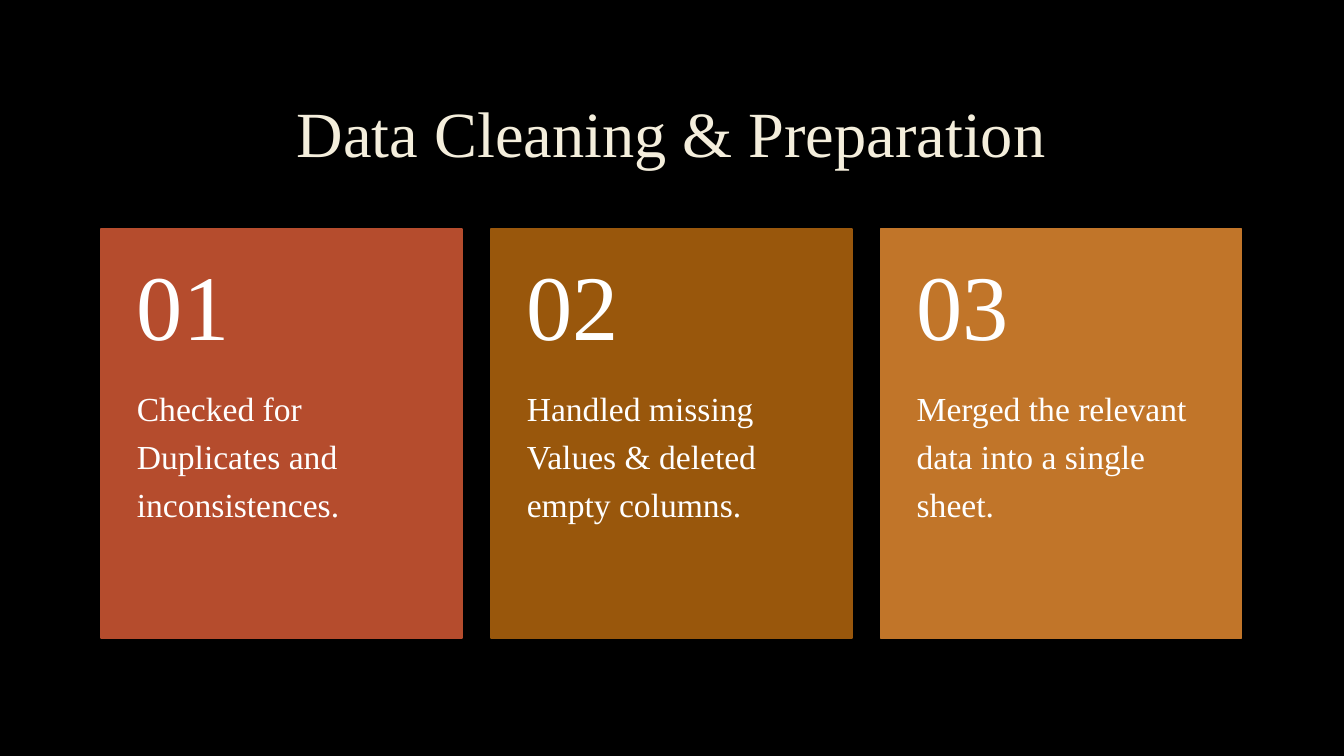
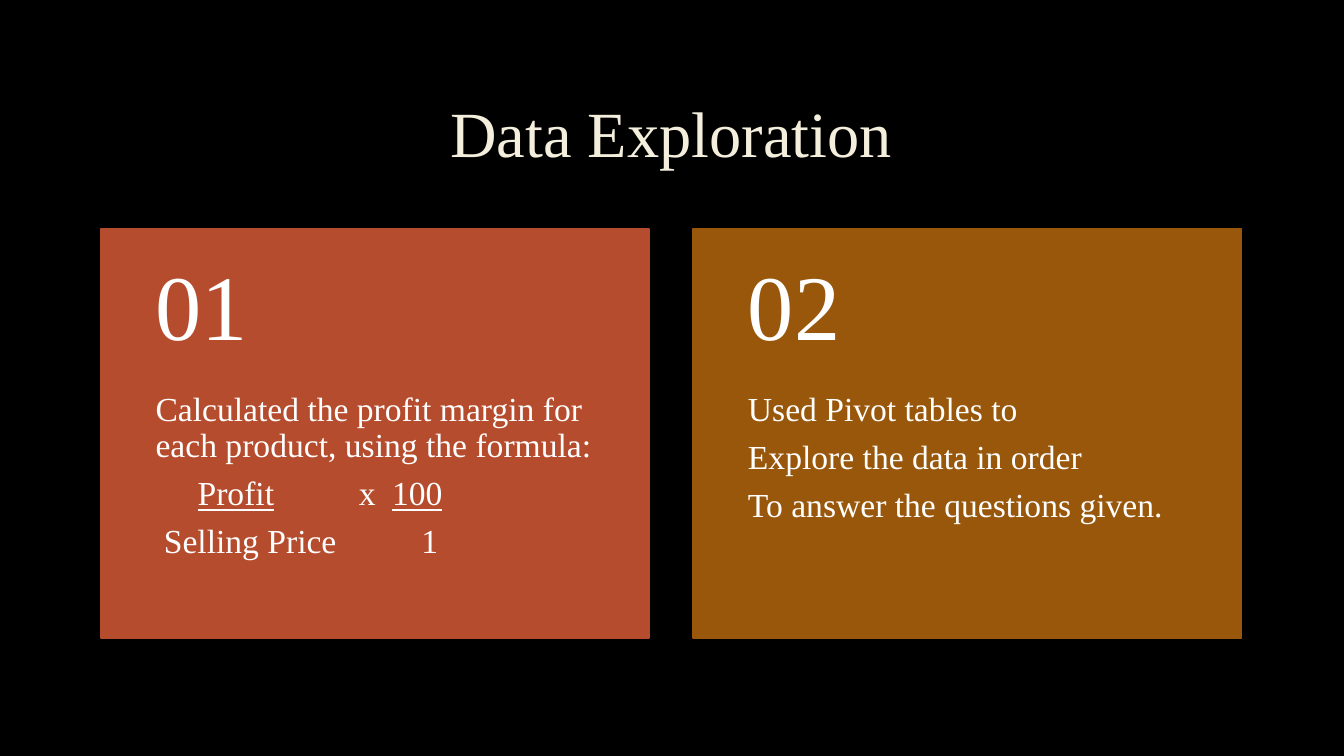
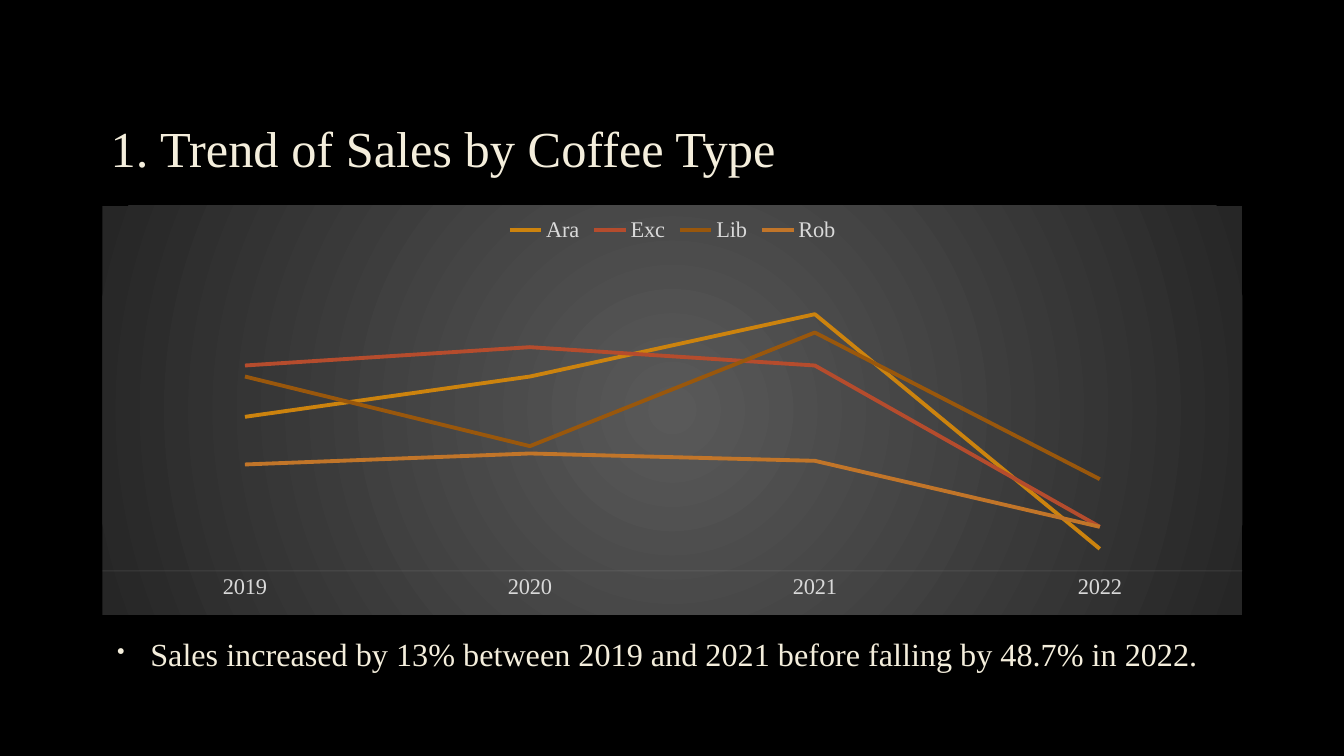
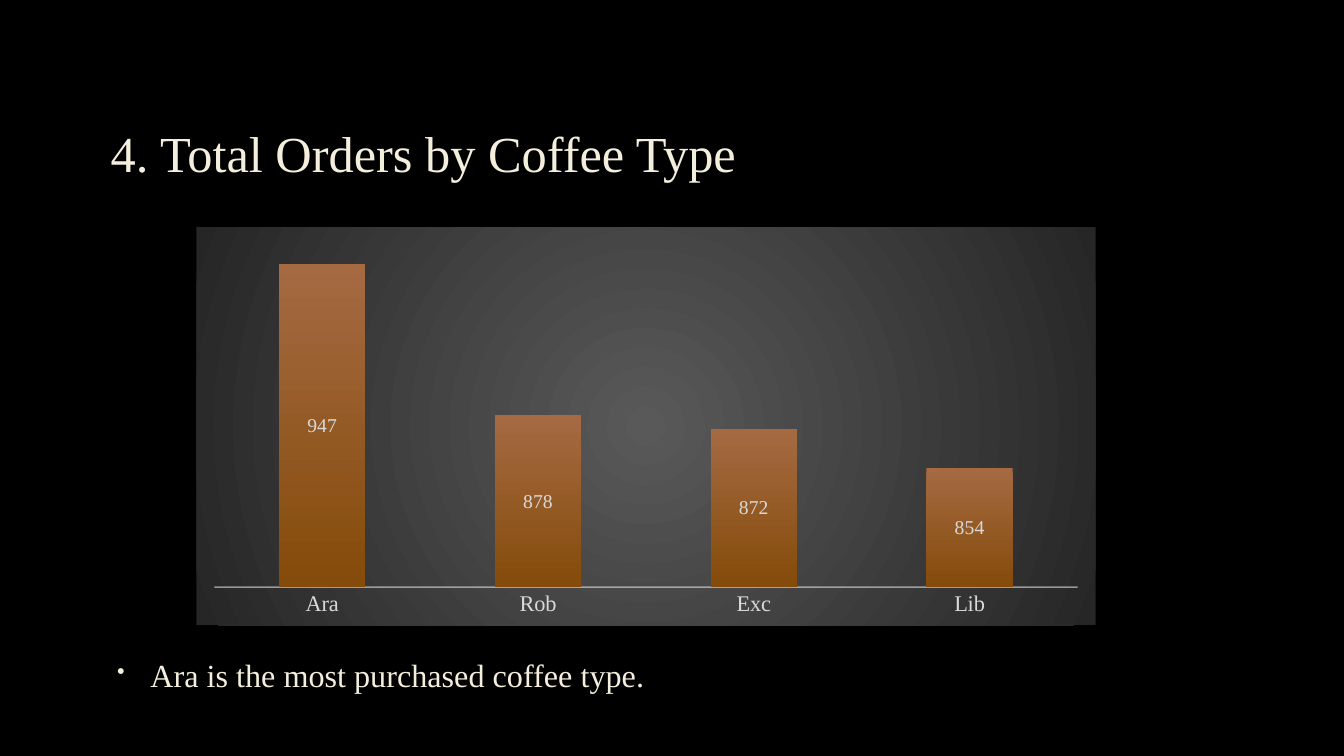
from collections import namedtuple
from dataclasses import dataclass

from lxml.etree import SubElement
from pptx import Presentation
from pptx.chart.data import CategoryChartData
from pptx.dml.color import RGBColor
from pptx.enum.chart import XL_CHART_TYPE, XL_LABEL_POSITION, XL_LEGEND_POSITION, XL_TICK_MARK
from pptx.enum.shapes import MSO_SHAPE
from pptx.enum.text import MSO_ANCHOR, PP_ALIGN
from pptx.oxml import parse_xml
from pptx.oxml.ns import nsdecls, qn
from pptx.util import Cm, Pt

Box = namedtuple("Box", "x y w h")


@dataclass(frozen=True)
class Theme:
    font: str = "Times New Roman"
    back: str = "000000"
    cream: str = "F4EEDC"
    white: str = "FFFFFF"
    label: str = "D9D9D9"
    axis: str = "F2F2F2"
    gold: str = "CC830E"
    cards: tuple = ("B54C2D", "99570C", "C17529")
    glow: tuple = ("595959", "262626")
    bars: tuple = ("A56A42", "844B0A")
    title: int = 46
    head: int = 36
    digit: int = 66
    body: int = 24
    note: int = 23
    tick: int = 16
    value: int = 14


THEME = Theme()
LEFT, WIDE = 2.54, 28.75
TITLE = Box(LEFT, 1.7, WIDE, 3.5)
DECK = Box(LEFT, 5.77, WIDE, 10.31)
PAD = 0.1


def rgb(code):
    return RGBColor.from_string(code)


def style(font, size, color):
    font.name = THEME.font
    font.size = Pt(size)
    font.color.rgb = rgb(color)


def place(box):
    return [Cm(side) for side in box]


def add_text(slide, box, lines, size, color, inset=(0.25, 0.13, 0.25, 0.13),
             anchor=MSO_ANCHOR.TOP, align=PP_ALIGN.LEFT, space=0.9, after=0):
    frame = slide.shapes.add_textbox(*place(box)).text_frame
    frame.word_wrap = True
    frame.vertical_anchor = anchor
    (frame.margin_left, frame.margin_top,
     frame.margin_right, frame.margin_bottom) = [Cm(side) for side in inset]
    frame.text = "\n".join(lines)
    for para in frame.paragraphs:
        para.alignment = align
        para.line_spacing = space
        para.space_after = Pt(after)
        for run in para.runs:
            style(run.font, size, color)
    return frame


def add_title(slide, box, text, size, align=PP_ALIGN.LEFT):
    add_text(slide, box, [text], size, THEME.cream, anchor=MSO_ANCHOR.MIDDLE, align=align)


def set_tabs(para, stops):
    tabs = SubElement(para._p.get_or_add_pPr(), qn("a:tabLst"))
    for stop in stops:
        SubElement(tabs, qn("a:tab"), pos=str(Cm(stop)), algn="l")


def add_ratio(frame):
    top, base = frame.add_paragraph(), frame.add_paragraph()
    parts = (
        (top, (("\tProfit\t", True), ("\tx\t", False), ("100", True)), (1.06, 4.5, 5.12, 5.96)),
        (base, (("\tSelling Price\t1", False),), (0.21, 6.7)),
    )
    for para, runs, stops in parts:
        para.line_spacing = 0.9
        para.space_after = frame.paragraphs[0].space_after
        set_tabs(para, stops)
        for text, under in runs:
            run = para.add_run()
            run.text = text
            style(run.font, THEME.body, THEME.white)
            run.font.underline = under


def add_card(slide, box, color, digit, lines):
    card = slide.shapes.add_shape(MSO_SHAPE.RECTANGLE, *place(box))
    card.shadow.inherit = False
    card.fill.solid()
    card.fill.fore_color.rgb = rgb(color)
    card.line.color.rgb = rgb(color)
    card.line.width = Pt(1.25)
    side = PAD * box.w
    split = 0.4 * box.h
    frame = add_text(slide, Box(box.x, box.y + split, box.w, box.h - split), lines,
                     THEME.body, THEME.white, (side, 0, side, 0.9), after=8.4)
    add_text(slide, Box(box.x, box.y, box.w, split), [digit], THEME.digit, THEME.white,
             (side, 0.46, side, 0.46), MSO_ANCHOR.MIDDLE)
    return frame


def card_slide(slide, title, cards):
    add_title(slide, TITLE, title, THEME.title, PP_ALIGN.CENTER)
    count, gap = len(cards), 0.08
    width = DECK.w / (count + gap * (count - 1))
    return [
        add_card(slide, Box(DECK.x + i * width * (1 + gap), DECK.y, width, DECK.h),
                 THEME.cards[i], f"{i + 1:02}", lines)
        for i, lines in enumerate(cards)
    ]


def add_note(slide, box, text):
    para = add_text(slide, box, [text], THEME.note, THEME.cream, space=1.1, after=6).paragraphs[0]
    para.space_before = Pt(5)
    props = para._p.get_or_add_pPr()
    props.set("marL", str(Cm(0.97)))
    props.set("indent", str(Cm(-0.84)))
    tint = SubElement(props, qn("a:buClr"))
    SubElement(tint, qn("a:srgbClr"), val=THEME.cream)
    SubElement(props, qn("a:buSzPct"), val="70000")
    SubElement(props, qn("a:buChar"), char="•")


def set_glow(chart):
    stops = "".join(
        f'<a:gs pos="{i * 100000}"><a:srgbClr val="{code}"/></a:gs>'
        for i, code in enumerate(THEME.glow))
    fill = parse_xml(
        f'<c:spPr {nsdecls("c", "a")}><a:gradFill><a:gsLst>{stops}</a:gsLst>'
        '<a:path path="circle"><a:fillToRect l="50000" t="50000" r="50000" b="50000"/></a:path>'
        '</a:gradFill><a:ln><a:noFill/></a:ln></c:spPr>')
    chart._chartSpace.find(qn("c:chart")).addnext(fill)


def set_plot(chart, area):
    plot = chart._chartSpace.chart.plotArea
    for old in plot.findall(qn("c:layout")):
        plot.remove(old)
    sides = "".join(f'<c:{key} val="{val}"/>' for key, val in zip("xywh", area))
    plot.insert(0, parse_xml(
        f'<c:layout {nsdecls("c")}><c:manualLayout><c:layoutTarget val="inner"/>'
        f'<c:xMode val="edge"/><c:yMode val="edge"/>{sides}</c:manualLayout></c:layout>'))


def add_graph(slide, box, kind, names, rows, area, span, line, alpha):
    data = CategoryChartData()
    data.categories = names
    for name, vals in rows:
        data.add_series(name, vals)
    chart = slide.shapes.add_chart(kind, *place(box), data).chart
    style(chart.font, 10, THEME.white)
    chart.has_title = False
    chart.has_legend = False
    chart.plots[0].vary_by_categories = False
    scale = chart.value_axis
    scale.minimum_scale, scale.maximum_scale = span
    scale.has_major_gridlines = False
    scale.visible = False
    axis = chart.category_axis
    axis.major_tick_mark = XL_TICK_MARK.NONE
    style(axis.tick_labels.font, THEME.tick, THEME.label)
    stroke = axis.format.line
    stroke.color.rgb = rgb(THEME.axis)
    stroke.width = Pt(line)
    tint = axis._element.find(".//" + qn("a:ln")).find(".//" + qn("a:srgbClr"))
    SubElement(tint, qn("a:alpha"), val=str(alpha * 1000))
    set_plot(chart, area)
    set_glow(chart)
    return chart


def trend_slide(slide):
    add_title(slide, Box(LEFT, 2.46, WIDE, 2.72), "1. Trend of Sales by Coffee Type", THEME.head)
    rows = (("Ara", (72, 83, 100, 36)), ("Exc", (86, 91, 86, 42)),
            ("Lib", (83, 64, 95, 55)), ("Rob", (59, 62, 60, 42)))
    chart = add_graph(slide, Box(2.57, 5.18, WIDE, 10.31), XL_CHART_TYPE.LINE,
                      ("2019", "2020", "2021", "2022"), rows,
                      (0, 0.167, 1, 0.726), (30, 111), 0.75, 10)
    chart.value_axis.major_unit = 7
    chart.has_legend = True
    chart.legend.position = XL_LEGEND_POSITION.TOP
    chart.legend.include_in_layout = False
    style(chart.legend.font, THEME.tick, THEME.label)
    for row, color in zip(chart.series, (THEME.gold, *THEME.cards)):
        row.smooth = False
        row.format.line.color.rgb = rgb(color)
        row.format.line.width = Pt(2.75)
    add_note(slide, Box(2.57, 15.77, WIDE, 2.44),
             "Sales increased by 13% between 2019 and 2021 before falling by 48.7% in 2022.")


def order_slide(slide):
    add_title(slide, Box(LEFT, 2.67, WIDE, 2.51), "4. Total Orders by Coffee Type", THEME.head)
    chart = add_graph(slide, Box(4.95, 5.72, 22.66, 10.03), XL_CHART_TYPE.COLUMN_STACKED,
                      ("Ara", "Rob", "Exc", "Lib"), (("Series 1", (947, 878, 872, 854)),),
                      (0.02, 0.02, 0.96, 0.885), (800, 960), 1, 54)
    plot = chart.plots[0]
    plot.gap_width = 150
    plot.overlap = 100
    fill = plot.series[0].format.fill
    fill.gradient()
    fill.gradient_angle = 270
    for stop, color in zip(fill.gradient_stops, THEME.bars):
        stop.color.rgb = rgb(color)
    plot.has_data_labels = True
    labels = plot.data_labels
    labels.show_value = True
    labels.position = XL_LABEL_POSITION.CENTER
    style(labels.font, THEME.value, THEME.label)
    add_note(slide, Box(2.57, 16.28, WIDE, 1.96), "Ara is the most purchased coffee type.")


def main():
    deck = Presentation()
    deck.slide_width, deck.slide_height = Cm(33.87), Cm(19.05)
    back = deck.slide_master.background.fill
    back.solid()
    back.fore_color.rgb = rgb(THEME.back)
    clean, probe, trend, order = [deck.slides.add_slide(deck.slide_layouts[6]) for _ in range(4)]
    card_slide(clean, "Data Cleaning & Preparation", (
        ("Checked for", "Duplicates and", "inconsistences."),
        ("Handled missing", "Values & deleted", "empty columns."),
        ("Merged the relevant", "data into a single", "sheet."),
    ))
    frames = card_slide(probe, "Data Exploration", (
        ("Calculated the profit margin for each product, using the formula:",),
        ("Used Pivot tables to", "Explore the data in order", "To answer the questions given."),
    ))
    add_ratio(frames[0])
    trend_slide(trend)
    order_slide(order)
    deck.save("out.pptx")


if __name__ == "__main__":
    main()
